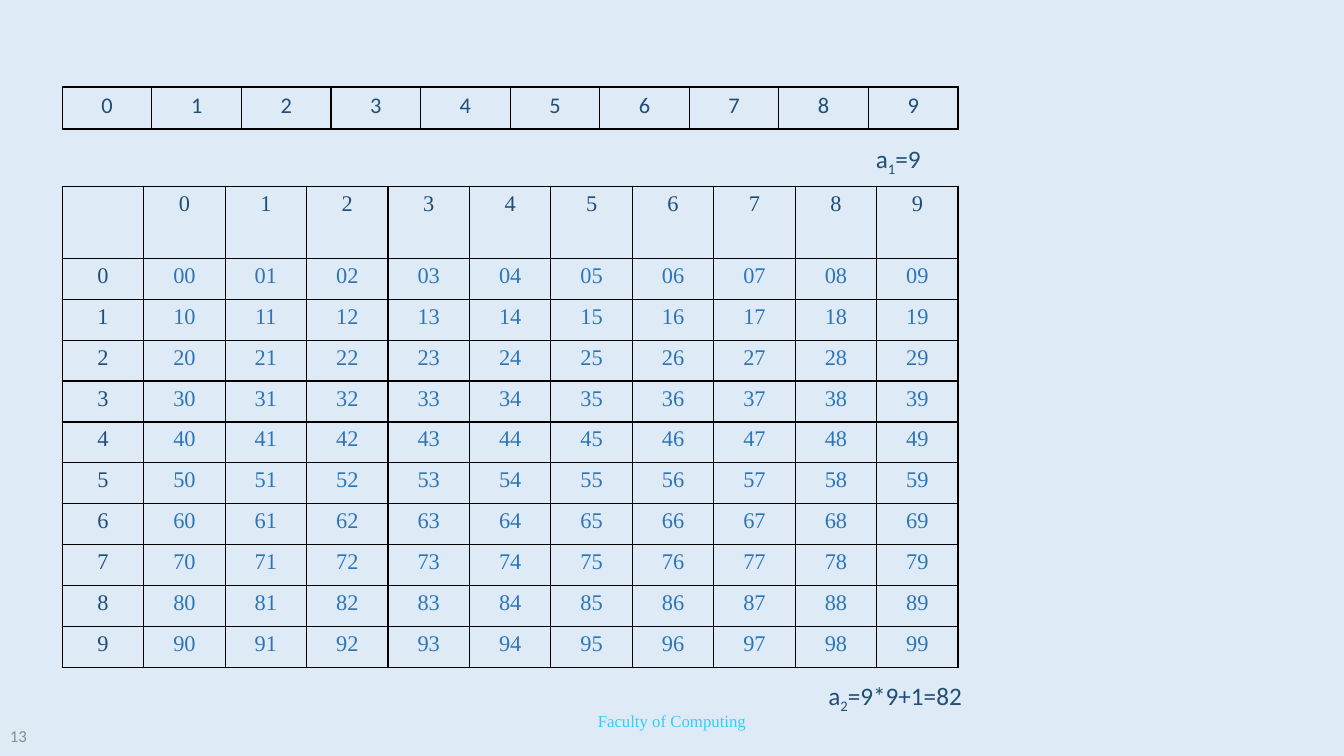
from lxml.etree import SubElement
from pptx import Presentation
from pptx.dml.color import RGBColor
from pptx.enum.text import MSO_ANCHOR, PP_ALIGN
from pptx.oxml.ns import qn
from pptx.util import Pt

PALE = RGBColor(0xDE, 0xEB, 0xF7)
NAVY = RGBColor(0x1F, 0x4E, 0x79)
BLUE = RGBColor(0x2E, 0x75, 0xB6)
CYAN = RGBColor(0x33, 0xCC, 0xFF)
GRAY = RGBColor(0x8C, 0x8C, 0x8C)
BLACK = RGBColor(0, 0, 0)
SANS, SERIF = "Calibri", "Times New Roman"
DIGITS = [str(n) for n in range(10)]


def style(para, face, size, color, align=PP_ALIGN.LEFT):
    """Set the font and alignment of a paragraph."""
    para.alignment = align
    para.font.name, para.font.size = face, Pt(size)
    para.font.color.rgb = color


def border(cell):
    """Draw a thin black line on every side of a cell."""
    for side in ("lnL", "lnR", "lnT", "lnB"):
        line = SubElement(cell._tc.get_or_add_tcPr(), qn(f"a:{side}"), w=str(Pt(1)))
        fill = SubElement(line, qn("a:solidFill"))
        SubElement(fill, qn("a:srgbClr"), val=str(BLACK))


def grid(slide, box, rows, face, head=None):
    """Fill a box with an even table, whose first row may have its own height."""
    left, top, width, height = box
    count, span = len(rows), len(rows[0])
    table = slide.shapes.add_table(count, span, *map(Pt, box)).table
    table.first_row = table.horz_banding = False
    for col in table.columns:
        col.width = Pt(width / span)
    for row in table.rows:
        row.height = Pt((height - head) / (count - 1) if head else height / count)
    if head:
        table.rows[0].height = Pt(head)
    for r, row in enumerate(rows):
        for c, text in enumerate(row):
            cell = table.cell(r, c)
            border(cell)
            cell.fill.background()
            cell.text = text
            color = BLUE if r and c else NAVY
            style(cell.text_frame.paragraphs[0], face, 16, color, PP_ALIGN.CENTER)


def label(slide, box, anchor=MSO_ANCHOR.TOP):
    """Add a wrapping text box and return its paragraph."""
    frame = slide.shapes.add_textbox(*map(Pt, box)).text_frame
    frame.word_wrap = True
    frame.vertical_anchor = anchor
    return frame.paragraphs[0]


def term(slide, box, index, value):
    """Write the value of a state variable with its subscript index."""
    para = label(slide, box)
    style(para, SANS, 18, NAVY)
    para.add_run().text = "a"
    sub = para.add_run()
    sub.text = index
    sub._r.get_or_add_rPr().set("baseline", "-25000")
    para.add_run().text = f"={value}"


def footer(slide, box, text, face, color, align):
    """Write one small footer line."""
    para = label(slide, box, MSO_ANCHOR.MIDDLE)
    para.text = text
    style(para, face, 12, color, align)


def main():
    """Build the slide and save it."""
    deck = Presentation()
    deck.slide_width, deck.slide_height = Pt(960), Pt(540)
    slide = deck.slides.add_slide(deck.slide_layouts[6])
    slide.background.fill.solid()
    slide.background.fill.fore_color.rgb = PALE
    footer(slide, (318, 500.5, 324, 28.75), "Faculty of Computing", SERIF, CYAN, PP_ALIGN.CENTER)
    footer(slide, (0, 511.25, 216, 28.75), "13", SANS, GRAY, PP_ALIGN.LEFT)
    pairs = [[""] + DIGITS] + [[a] + [a + b for b in DIGITS] for a in DIGITS]
    grid(slide, (44.5, 133.2, 640, 343.4), pairs, SERIF, 51.4)
    grid(slide, (44.5, 62.2, 640, 30), [DIGITS], SANS)
    term(slide, (618.5, 98.6, 148, 29), "1", "9")
    term(slide, (584.6, 482.4, 148, 29), "2", "9*9+1=82")
    deck.save("out.pptx")


if __name__ == "__main__":
    main()
